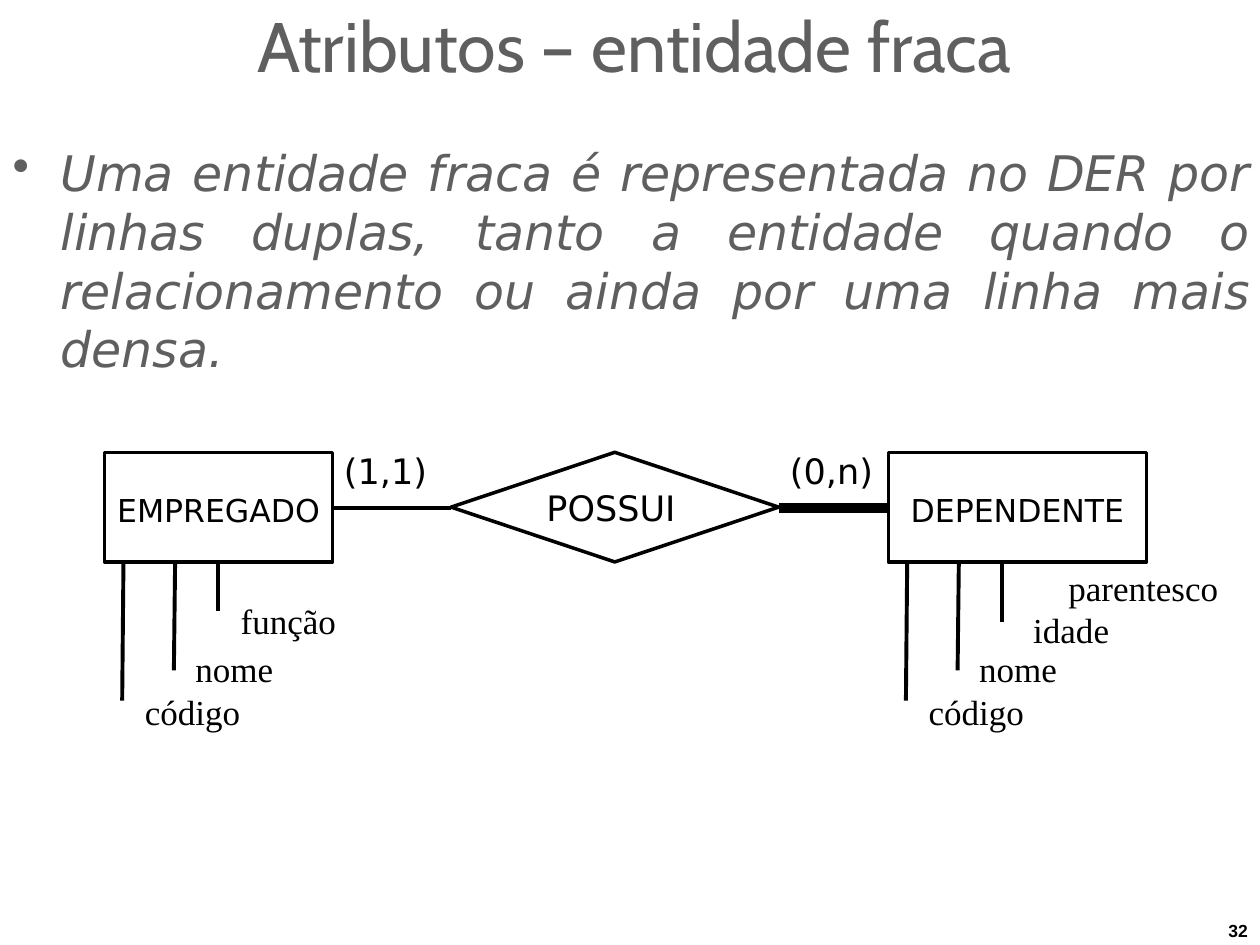
from dataclasses import dataclass

from lxml import etree
from pptx import Presentation
from pptx.dml.color import RGBColor
from pptx.enum import shapes, text
from pptx.oxml.ns import qn
from pptx.util import Inches, Pt


@dataclass(frozen=True)
class Theme:
    ink: str = "000000"
    heading: str = "5F5F5F"
    paper: str = "FFFFFF"
    title_font: str = "Cabin"
    body_font: str = "DejaVu Sans"
    label_font: str = "Times New Roman"
    number_font: str = "Arial"
    title_size: int = 40
    body_size: int = 28
    label_size: int = 20
    entity_size: int = 18
    number_size: int = 10
    outline: float = 2
    line: float = 2.25
    thick_line: float = 6


class DiagramPage:
    """Draws the elements of an entity-relationship page in one theme."""

    def __init__(self, page, theme):
        self.page = page
        self.theme = theme

    def fill_text(self, box, words, font, size, color=None, align="LEFT",
                  insets=(0, 0.02, 0, 0), **format_values):
        """Fill a shape with one styled paragraph and return the paragraph."""
        frame = box.text_frame
        frame.word_wrap = True
        for side, inset in zip(("left", "top", "right", "bottom"), insets):
            setattr(frame, f"margin_{side}", Inches(inset))
        para = frame.paragraphs[0]
        para.alignment = getattr(text.PP_ALIGN, align)
        span = para.add_run()
        span.text = words
        values = {"name": font, "size": Pt(size), **format_values}
        for name, value in values.items():
            setattr(span.font, name, value)
        span.font.color.rgb = RGBColor.from_string(color or self.theme.ink)
        return para

    def text(self, words, left, top, width, height, font, size, **style):
        box = self.page.shapes.add_textbox(*map(Inches, (left, top, width, height)))
        return self.fill_text(box, words, font, size, **style)

    def label(self, words, left, top, width=0.85):
        self.text(words, left, top, width, 0.36,
                  self.theme.label_font, self.theme.label_size)

    def cardinality(self, words, left):
        self.text(words, left, 3.55, 0.8, 0.36,
                  self.theme.body_font, self.theme.label_size)

    def bullet(self, words, left, top, width, height):
        theme = self.theme
        para = self.text(words, left, top, width, height, theme.body_font,
                         theme.body_size, color=theme.heading,
                         align="JUSTIFY", italic=True)
        props = para._p.get_or_add_pPr()
        props.set("marL", str(Inches(0.39)))
        props.set("indent", str(Inches(-0.38)))
        etree.SubElement(props, qn("a:buChar")).set("char", "•")

    def node(self, kind, words, left, width, size, insets):
        """Draw an outlined entity or relationship on the diagram's row."""
        theme = self.theme
        box = self.page.shapes.add_shape(
            kind, *map(Inches, (left, ROW_TOP, width, ROW_HEIGHT)))
        box.shadow.inherit = False
        box.fill.solid()
        box.fill.fore_color.rgb = RGBColor.from_string(theme.paper)
        box.line.color.rgb = RGBColor.from_string(theme.ink)
        box.line.width = Pt(theme.outline)
        box.text_frame.vertical_anchor = text.MSO_ANCHOR.MIDDLE
        self.fill_text(box, words, theme.body_font, size, align="CENTER",
                       insets=insets)
        box.text_frame.word_wrap = False

    def entity(self, words, left, width):
        self.node(shapes.MSO_SHAPE.RECTANGLE, words, left, width,
                  self.theme.entity_size, (0, 0.05, 0, 0))

    def relationship(self, words, left, width):
        self.node(shapes.MSO_SHAPE.DIAMOND, words, left, width,
                  self.theme.label_size, (0, 0, 0.06, 0))

    def line(self, x1, y1, x2, y2, weight=None):
        link = self.page.shapes.add_connector(
            shapes.MSO_CONNECTOR.STRAIGHT, *map(Inches, (x1, y1, x2, y2)))
        link.line.color.rgb = RGBColor.from_string(self.theme.ink)
        link.line.width = Pt(weight or self.theme.line)
        etree.SubElement(link._element.spPr, qn("a:effectLst"))

    def attributes(self, left, last_stem_end):
        """Hang the three attribute stems and the two shared labels on an entity."""
        stems = ((0.15, 0.14, 5.56), (0.56, 0.55, 5.32), (0.9, 0.9, last_stem_end))
        for start, end, bottom in stems:
            self.line(left + start, ROW_BOTTOM, left + end, bottom)
        self.label("código", left + 0.32, 5.46)
        self.label("nome", left + 0.72, 5.12)


ROW_TOP, ROW_HEIGHT = 3.59, 0.87
ROW_BOTTOM = ROW_TOP + ROW_HEIGHT
ROW_MIDDLE = 4.03
EMPLOYEE_LEFT, EMPLOYEE_WIDTH = 0.83, 1.81
OWNS_LEFT, OWNS_WIDTH = 3.58, 2.6
DEPENDENT_LEFT, DEPENDENT_WIDTH = 7.05, 2.05


def main():
    deck = Presentation()
    deck.slide_width, deck.slide_height = Inches(10), Inches(7.5)
    theme = Theme()
    page = DiagramPage(deck.slides.add_slide(deck.slide_layouts[6]), theme)

    page.text("Atributos – entidade fraca", 2.04, 0, 6.38, 0.69,
              theme.title_font, theme.title_size, color=theme.heading)
    page.bullet("Uma entidade fraca é representada no DER por linhas duplas, "
                "tanto a entidade quando o relacionamento ou ainda por uma "
                "linha mais densa.", 0.09, 1.11, 9.83, 1.89)

    page.line(EMPLOYEE_LEFT + EMPLOYEE_WIDTH, ROW_MIDDLE, OWNS_LEFT, ROW_MIDDLE)
    page.line(OWNS_LEFT + OWNS_WIDTH, ROW_MIDDLE, DEPENDENT_LEFT, ROW_MIDDLE,
              theme.thick_line)
    page.entity("EMPREGADO", EMPLOYEE_LEFT, EMPLOYEE_WIDTH)
    page.relationship("POSSUI", OWNS_LEFT, OWNS_WIDTH)
    page.entity("DEPENDENTE", DEPENDENT_LEFT, DEPENDENT_WIDTH)
    page.cardinality("(1,1)", 2.73)
    page.cardinality("(0,n)", 6.27)

    page.attributes(EMPLOYEE_LEFT, 4.85)
    page.label("função", 1.91, 4.74)
    page.attributes(DEPENDENT_LEFT, 4.94)
    page.label("parentesco", 8.48, 4.48, 1.3)
    page.label("idade", 8.2, 4.81)

    page.text("32", 9.75, 7.3, 0.2, 0.18, theme.number_font, theme.number_size,
              insets=(0, 0, 0, 0), bold=True)
    deck.save("out.pptx")


if __name__ == "__main__":
    main()
